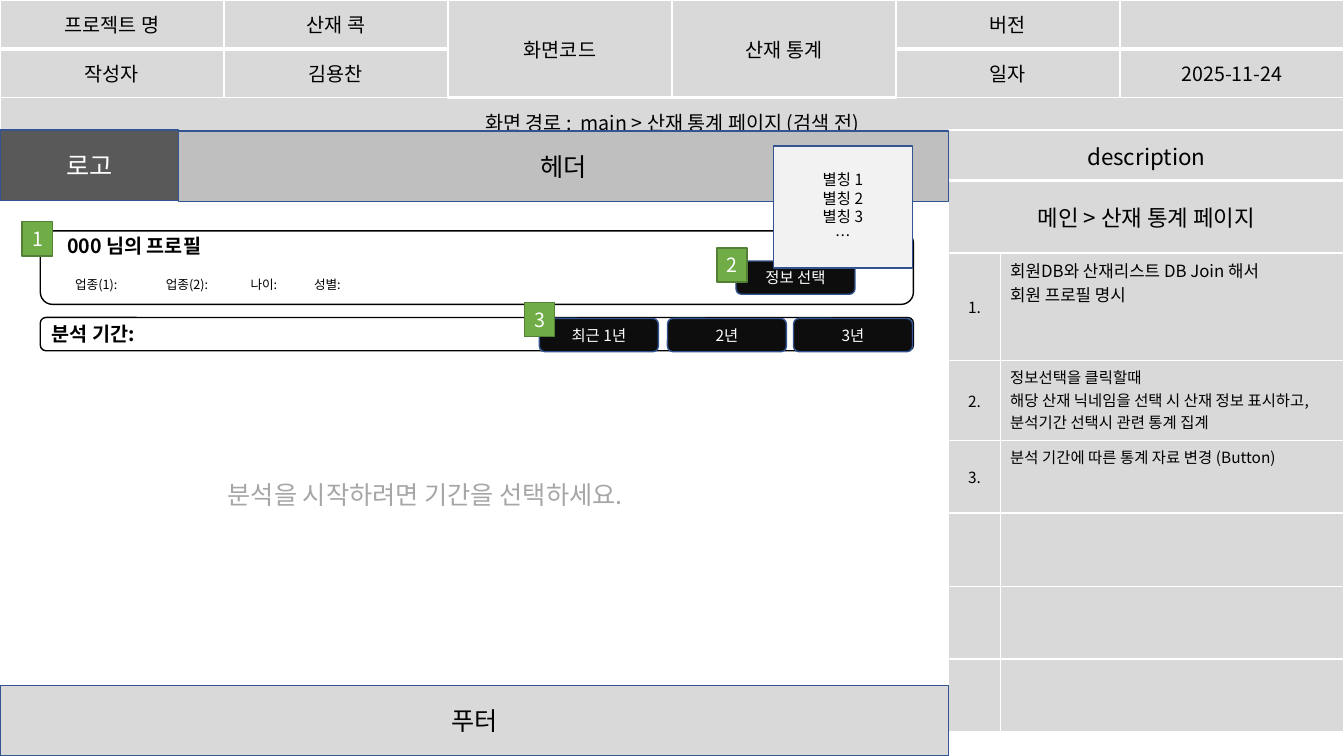
from lxml import etree
from pptx import Presentation
from pptx.dml.color import RGBColor
from pptx.enum import shapes, text
from pptx.oxml import ns
from pptx.util import Inches, Pt

FONT = "Noto Sans CJK KR"
BLACK, WHITE, GRAY, NAVY = "000000", "FFFFFF", "D9D9D9", "325491"
DARK, GREEN, GREEN_EDGE = "0D0D0D", "70AD47", "538035"
CENTER, LEFT = text.PP_ALIGN.CENTER, text.PP_ALIGN.LEFT
RECT = shapes.MSO_SHAPE.RECTANGLE
ROUND = shapes.MSO_SHAPE.ROUNDED_RECTANGLE

PROJECT = [
    ["프로젝트 명", "산재 콕", "화면코드", "산재 통계", "버전", ""],
    ["작성자", "김용찬", "", "", "일자", "2025-11-24"],
    ["화면 경로 :  main > 산재 통계 페이지 (검색 전)", "", "", "", "", ""],
]
PROJECT_MERGES = [((0, 2), (1, 2)), ((0, 3), (1, 3)), ((2, 0), (2, 5))]

DESCRIPTION = [
    ["description", ""],
    ["메인 > 산재 통계 페이지", ""],
    ["1.", "회원DB와 산재리스트 DB Join 해서\n회원 프로필 명시"],
    ["2.", "정보선택을 클릭할때\n해당 산재 닉네임을 선택 시 산재 정보 표시하고, "
           "분석기간 선택시 관련 통계 집계"],
    ["3.", "분석 기간에 따른 통계 자료 변경 (Button)"],
    ["", ""], ["", ""], ["", ""],
]
DESCRIPTION_ROWS = [0.5, 0.72, 1.07, 0.79, 0.72, 0.73, 0.72, 0.72]
DESCRIPTION_MERGES = [((0, 0), (0, 1)), ((1, 0), (1, 1))]

PROFILE = ["000 님의 프로필", "\t업종(1):\t업종(2):\t나이:\t성별:"]
PROFILE_TABS = [0.08, 0.98, 1.82, 2.45]
PERIODS = [("최근 1년", 5.35), ("2년", 6.62), ("3년", 7.87)]
NICKNAMES = ["별칭 1", "별칭 2", "별칭 3", "…"]


def rgb(color):
    return RGBColor.from_string(color)


def style(paragraph, size, color=BLACK, align=CENTER, bold=False):
    paragraph.alignment = align
    font = paragraph.font
    font.size, font.bold, font.name = Pt(size), bold, FONT
    font.color.rgb = rgb(color)
    latin = font._element.find(ns.qn("a:latin"))
    east_asian = etree.Element(ns.qn("a:ea"), typeface=FONT)
    latin.addnext(east_asian)


def write(frame, lines, size, color=BLACK, align=CENTER, bold=False):
    frame.word_wrap = True
    frame.text = "\n".join(lines)
    for paragraph in frame.paragraphs:
        style(paragraph, size, color, align, bold)


def add_box(slide, place, lines, size, fill, line=NAVY, color=BLACK,
            kind=RECT, align=CENTER, bold=False):
    box = slide.shapes.add_shape(kind, *map(Inches, place))
    box.shadow.inherit = False
    box.fill.solid()
    box.fill.fore_color.rgb = rgb(fill)
    box.line.color.rgb = rgb(line)
    box.line.width = Pt(1)
    box.text_frame.vertical_anchor = text.MSO_ANCHOR.MIDDLE
    write(box.text_frame, lines, size, color, align, bold)
    return box


def add_button(slide, label, left, top):
    add_box(slide, (left, top, 1.18, 0.33), [label], 11, DARK,
            color=WHITE, kind=ROUND)


def add_marker(slide, number, left, top):
    add_box(slide, (left, top, 0.3, 0.34), [number], 14, GREEN, GREEN_EDGE, WHITE)


def set_borders(cell, bottom):
    properties = cell._tc.get_or_add_tcPr()
    for index, side in enumerate("LRTB"):
        width = bottom if side == "B" else 1
        border = etree.Element(ns.qn(f"a:ln{side}"), w=str(Pt(width)))
        fill = etree.SubElement(border, ns.qn("a:solidFill"))
        etree.SubElement(fill, ns.qn("a:srgbClr"), val=WHITE)
        properties.insert(index, border)


def add_grid(slide, place, rows, widths, heights, merges):
    """Add a gray table with white rules and a thick rule under its first row."""
    frame = slide.shapes.add_table(len(rows), len(widths), *map(Inches, place))
    table = frame.table
    table.first_row = table.horz_banding = False
    for column, width in zip(table.columns, widths):
        column.width = Inches(width)
    for row, height in zip(table.rows, heights):
        row.height = Inches(height)
    for start, end in merges:
        table.cell(*start).merge(table.cell(*end))
    for r in range(len(rows)):
        for c in range(len(widths)):
            cell = table.cell(r, c)
            cell.fill.solid()
            cell.fill.fore_color.rgb = rgb(GRAY)
            set_borders(cell, 3 if r == 0 else 1)
    return table


def fill_project(table):
    for r, row in enumerate(PROJECT):
        for c, label in enumerate(row):
            if label:
                cell = table.cell(r, c)
                cell.margin_top = cell.margin_bottom = Inches(0.1)
                if cell.is_merge_origin and r == 0:
                    cell.vertical_anchor = text.MSO_ANCHOR.MIDDLE
                write(cell.text_frame, [label], 14)


def fill_description(table):
    for r, (label, detail) in enumerate(DESCRIPTION):
        if label:
            table.cell(r, 0).vertical_anchor = text.MSO_ANCHOR.MIDDLE
            write(table.cell(r, 0).text_frame, [label], 16 if r < 2 else 11)
        if detail:
            write(table.cell(r, 1).text_frame, detail.split("\n"),
                  12 if r == 2 else 11, align=LEFT)


def add_profile(slide):
    box = add_box(slide, (0.4, 2.29, 8.66, 0.73), [], 14, WHITE, BLACK, kind=ROUND)
    frame = box.text_frame
    frame.margin_left, frame.margin_top = Inches(0.23), 0
    frame.margin_bottom = Inches(0.09)
    frame.text = PROFILE[0]
    style(frame.paragraphs[0], 14, align=LEFT, bold=True)
    fields = frame.add_paragraph()
    fields.text = PROFILE[1]
    fields.space_before = Pt(14)
    tabs = etree.SubElement(fields._p.get_or_add_pPr(), ns.qn("a:tabLst"))
    for position in PROFILE_TABS:
        etree.SubElement(tabs, ns.qn("a:tab"), pos=str(Inches(position)), algn="l")
    style(fields, 9, align=LEFT)


def main():
    deck = Presentation()
    deck.slide_width, deck.slide_height = Inches(13.33), Inches(7.5)
    slide = deck.slides.add_slide(deck.slide_layouts[6])

    fill_project(add_grid(slide, (0, 0, 13.33, 1.23), PROJECT, [13.33 / 6] * 6,
                          [0.41] * 3, PROJECT_MERGES))
    fill_description(add_grid(slide, (9.41, 1.29, 3.92, sum(DESCRIPTION_ROWS)),
                              DESCRIPTION, [0.51, 3.41], DESCRIPTION_ROWS,
                              DESCRIPTION_MERGES))

    add_box(slide, (1.77, 1.3, 7.64, 0.7), ["헤더"], 18, "BFBFBF")
    add_box(slide, (0, 1.29, 1.77, 0.7), ["로고"], 18, "595959", color=WHITE)
    add_profile(slide)
    add_marker(slide, "1", 0.22, 2.2)
    add_box(slide, (0.4, 3.15, 8.66, 0.33), ["분석 기간:"], 14, WHITE, BLACK,
            kind=ROUND, align=LEFT, bold=True)
    for period, left in PERIODS:
        add_button(slide, period, left, 3.16)
    add_marker(slide, "3", 5.2, 3)
    add_box(slide, (0, 6.8, 9.41, 0.7), ["푸터"], 18, GRAY)

    prompt = slide.shapes.add_textbox(*map(Inches, (2.16, 4.71, 4.51, 0.4)))
    write(prompt.text_frame, ["분석을 시작하려면 기간을 선택하세요."], 18, "A6A6A6", LEFT)

    add_button(slide, "정보 선택", 7.3, 2.59)
    add_marker(slide, "2", 7.11, 2.46)
    add_box(slide, (7.67, 1.45, 1.38, 1.21), NICKNAMES, 11, "F2F2F2")
    deck.save("out.pptx")


if __name__ == "__main__":
    main()
